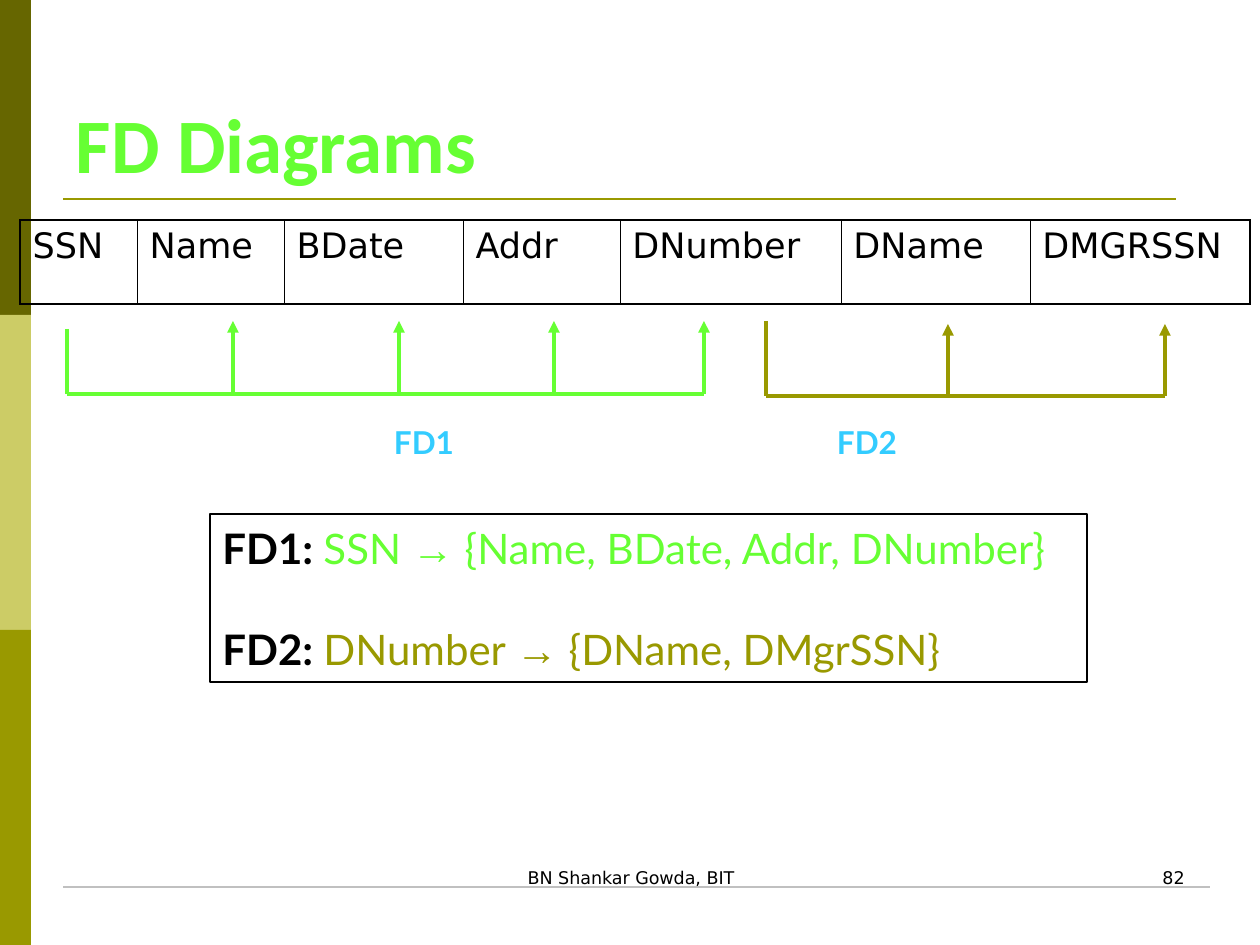
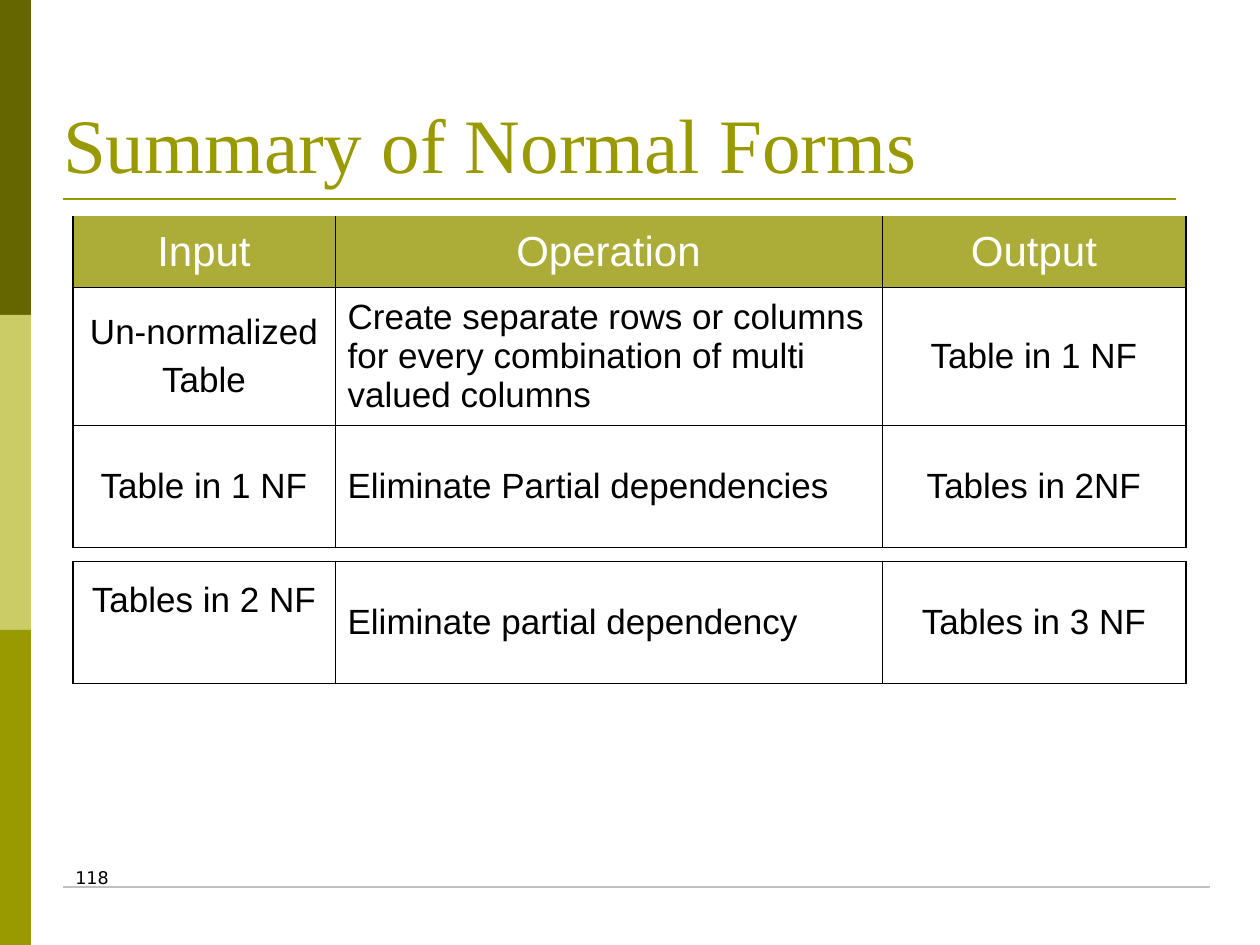
from lxml.etree import SubElement
from pptx import Presentation
from pptx.dml.color import RGBColor
from pptx.enum.shapes import MSO_CONNECTOR, MSO_SHAPE
from pptx.enum.text import MSO_ANCHOR, MSO_AUTO_SIZE, PP_ALIGN
from pptx.oxml import parse_xml
from pptx.oxml.ns import nsdecls, qn
from pptx.util import Emu, Pt

PX = 914400 / 126
COLORS = {
    "dark_olive": "666600", "pale_olive": "CCCC66", "olive": "999900",
    "header": "ACAC39", "silver": "C0C0C0", "green": "66FF33",
    "sky": "33CCFF", "black": "000000", "white": "FFFFFF",
}
LEFT, CENTER, RIGHT = PP_ALIGN.LEFT, PP_ALIGN.CENTER, PP_ALIGN.RIGHT
TOP, MIDDLE, BOTTOM = MSO_ANCHOR.TOP, MSO_ANCHOR.MIDDLE, MSO_ANCHOR.BOTTOM

FOOTER = {"name": "DejaVu Sans", "size": 10, "color": "black"}
ATTRIBUTE = {**FOOTER, "size": 20}
FD_LABEL = {"name": "Lato", "size": 18, "color": "sky", "bold": True}
FD_NAME = {"name": "Lato", "size": 24, "color": "black", "bold": True}
FORM_HEADER = {"name": "Arial", "size": 24, "color": "white"}
FORM_TEXT = {"name": "Arial", "size": 20, "color": "black"}

INNER, OUTER = 0.45, 1.08


def px(*lengths):
    return [Emu(round(length * PX)) for length in lengths]


def rgb(color):
    return RGBColor.from_string(COLORS[color])


def format_font(font, style):
    for attribute, value in {"bold": False, **style}.items():
        if attribute == "color":
            font.color.rgb = rgb(value)
        else:
            setattr(font, attribute, Pt(value) if attribute == "size" else value)


def write(frame, paragraphs, align=LEFT, gap=0):
    """Fill a frame; each paragraph is a list of (text, style) runs."""
    for index, runs in enumerate(paragraphs):
        paragraph = frame.add_paragraph() if index else frame.paragraphs[0]
        paragraph.alignment = align
        paragraph.space_before = Pt(gap if index else 0)
        for text, style in runs:
            run = paragraph.add_run()
            run.text = text
            format_font(run.font, style)


def add_text(slide, box, text, style, align=LEFT, anchor=TOP):
    frame = slide.shapes.add_textbox(*px(*box)).text_frame
    frame.word_wrap = True
    frame.vertical_anchor = anchor
    write(frame, [[(text, style)]], align)


def add_block(slide, box, fill=None, line=None):
    block = slide.shapes.add_shape(MSO_SHAPE.RECTANGLE, *px(*box))
    block.shadow.inherit = False
    if fill:
        block.fill.solid()
        block.fill.fore_color.rgb = rgb(fill)
    else:
        block.fill.background()
    if line:
        block.line.color.rgb = rgb(line)
        block.line.width = Pt(0.75)
    else:
        block.line.fill.background()
    return block


def add_line(slide, start, end, color, width, arrow=False):
    line = slide.shapes.add_connector(MSO_CONNECTOR.STRAIGHT, *px(*start, *end))
    line.line.color.rgb = rgb(color)
    line.line.width = Pt(width)
    properties = line._element.spPr
    if arrow:
        SubElement(properties.find(qn("a:ln")), qn("a:tailEnd"), type="triangle")
    SubElement(properties, qn("a:effectLst"))


def set_borders(cell, widths):
    """Draw left, right, top and bottom borders; a width of 0 hides one."""
    properties = cell._tc.get_or_add_tcPr()
    for index, (side, width) in enumerate(zip("LRTB", widths)):
        fill = (f'<a:solidFill><a:srgbClr val="{COLORS["black"]}"/></a:solidFill>'
                if width else "<a:noFill/>")
        properties.insert(index, parse_xml(
            f'<a:ln{side} {nsdecls("a")} w="{Pt(width)}">{fill}</a:ln{side}>'))


def add_grid(slide, origin, columns, rows, edge):
    """Add an unfilled table; edge gives its top and bottom border widths."""
    box = px(*origin, sum(columns), sum(rows))
    table = slide.shapes.add_table(len(rows), len(columns), *box).table
    table.first_row = table.horz_banding = False
    for parts, lengths, side in ((table.columns, columns, "width"),
                                 (table.rows, rows, "height")):
        for part, length in zip(parts, px(*lengths)):
            setattr(part, side, length)
    top, bottom = edge
    for r in range(len(rows)):
        for c in range(len(columns)):
            cell = table.cell(r, c)
            cell.fill.background()
            set_borders(cell, (OUTER if c == 0 else INNER,
                               OUTER if c == len(columns) - 1 else INNER,
                               top if r == 0 else INNER,
                               bottom if r == len(rows) - 1 else INNER))
    return table


def add_base_slide(deck, title, title_style, title_inset):
    slide = deck.slides.add_slide(deck.slide_layouts[5])
    for index, color in enumerate(("dark_olive", "pale_olive", "olive")):
        add_block(slide, (0, index * 315, 31, 315), color)
    add_line(slide, (63, 199), (1176, 199), "olive", 1.5)
    add_line(slide, (63, 887), (1210, 887), "silver", 0.75)

    heading = slide.shapes.title
    places = zip(("left", "top", "width", "height"), px(63, 38, 1134, 157))
    for attribute, value in places:
        setattr(heading, attribute, value)
    frame = heading.text_frame
    layout = {"auto_size": MSO_AUTO_SIZE.NONE, "word_wrap": True,
              "vertical_anchor": BOTTOM, "margin_left": px(title_inset)[0]}
    for attribute, value in layout.items():
        setattr(frame, attribute, value)
    write(frame, [[(title, {"size": 44, **title_style})]])
    return slide


def add_footer(slide, left, width, text, align):
    add_text(slide, (left, 861, width, 63), text, FOOTER, align)


def add_dependency(slide, source, targets, tops, base, color):
    """Link a determinant at x=source to the attributes at x=targets."""
    stem_top, arrow_top = tops
    add_line(slide, (source, stem_top), (source, base), color, 2.25)
    add_line(slide, (source, base), (targets[-1], base), color, 2.25)
    for target in targets:
        add_line(slide, (target, base), (target, arrow_top), color, 2.25, arrow=True)


def add_dependency_list(slide, box):
    rules = (("FD1: ", "SSN ", " {Name, BDate, Addr, DNumber}", "green"),
             ("FD2: ", "DNumber ", " {DName, DMgrSSN}", "olive"))
    paragraphs = []
    for name, determinant, dependents, color in rules:
        plain = {**FD_NAME, "color": color, "bold": False}
        paragraphs.append([(name, FD_NAME), (determinant, plain),
                           ("→", {**plain, "name": "Arial"}), (dependents, plain)])
    frame = add_block(slide, box, line="black").text_frame
    frame.word_wrap = True
    frame.vertical_anchor = MIDDLE
    write(frame, paragraphs, gap=29)


def build_fd_diagrams(deck):
    slide = add_base_slide(deck, "FD Diagrams",
                           {"name": "Calibri", "color": "green", "bold": True}, 13)
    attributes = {"SSN": 117, "Name": 147, "BDate": 179, "Addr": 157,
                  "DNumber": 221, "DName": 189, "DMGRSSN": 220}
    relation = add_grid(slide, (20, 220), list(attributes.values()), [84],
                        (OUTER, OUTER))
    for cell, attribute in zip(relation.rows[0].cells, attributes):
        write(cell.text_frame, [[(attribute, ATTRIBUTE)]])

    add_dependency(slide, 67, (233, 399, 554, 704), (329, 321), 394, "green")
    add_dependency(slide, 766, (948, 1165), (321, 324), 396, "olive")
    for label, center in (("FD1", 424), ("FD2", 867)):
        add_text(slide, (center - 60, 410, 120, 63), label, FD_LABEL, CENTER, MIDDLE)
    add_dependency_list(slide, (210, 514, 877, 168))
    add_footer(slide, 431, 400, "BN Shankar Gowda, BIT", CENTER)
    add_footer(slide, 903, 294, "82", RIGHT)


def fill_forms(table, rows, first_row_style=FORM_TEXT):
    for r, texts in enumerate(rows):
        style = FORM_TEXT if r else first_row_style
        for c, text in enumerate(texts):
            cell = table.cell(r, c)
            cell.vertical_anchor = MIDDLE
            align = LEFT if c == 1 and style is FORM_TEXT else CENTER
            write(cell.text_frame, [[(line, style)] for line in text.split("\n")],
                  align, gap=5)


def build_normal_forms(deck):
    slide = add_base_slide(deck, "Summary of Normal Forms",
                           {"name": "Times New Roman", "color": "olive"}, 0)
    columns = [262, 547, 304]
    early_forms = add_grid(slide, (73, 216), columns, [71, 138, 122], (0, INNER))
    fill_forms(early_forms, [
        ("Input", "Operation", "Output"),
        ("Un-normalized\nTable",
         "Create separate rows or columns for every combination of multi valued columns",
         "Table in 1 NF"),
        ("Table in 1 NF", "Eliminate Partial dependencies", "Tables in 2NF"),
    ], FORM_HEADER)
    for cell in early_forms.rows[0].cells:
        cell.fill.solid()
        cell.fill.fore_color.rgb = rgb("header")

    third_form = add_grid(slide, (73, 561), columns, [122], (INNER, INNER))
    fill_forms(third_form, [
        ("Tables in 2 NF", "Eliminate partial dependency", "Tables in 3 NF")])
    raised = third_form.cell(0, 0)
    raised.vertical_anchor = TOP
    raised.margin_top = px(20)[0]
    add_footer(slide, 63, 294, "118", LEFT)


def main():
    deck = Presentation()
    deck.slide_width, deck.slide_height = px(1260, 945)
    build_fd_diagrams(deck)
    build_normal_forms(deck)
    deck.save("out.pptx")


if __name__ == "__main__":
    main()
